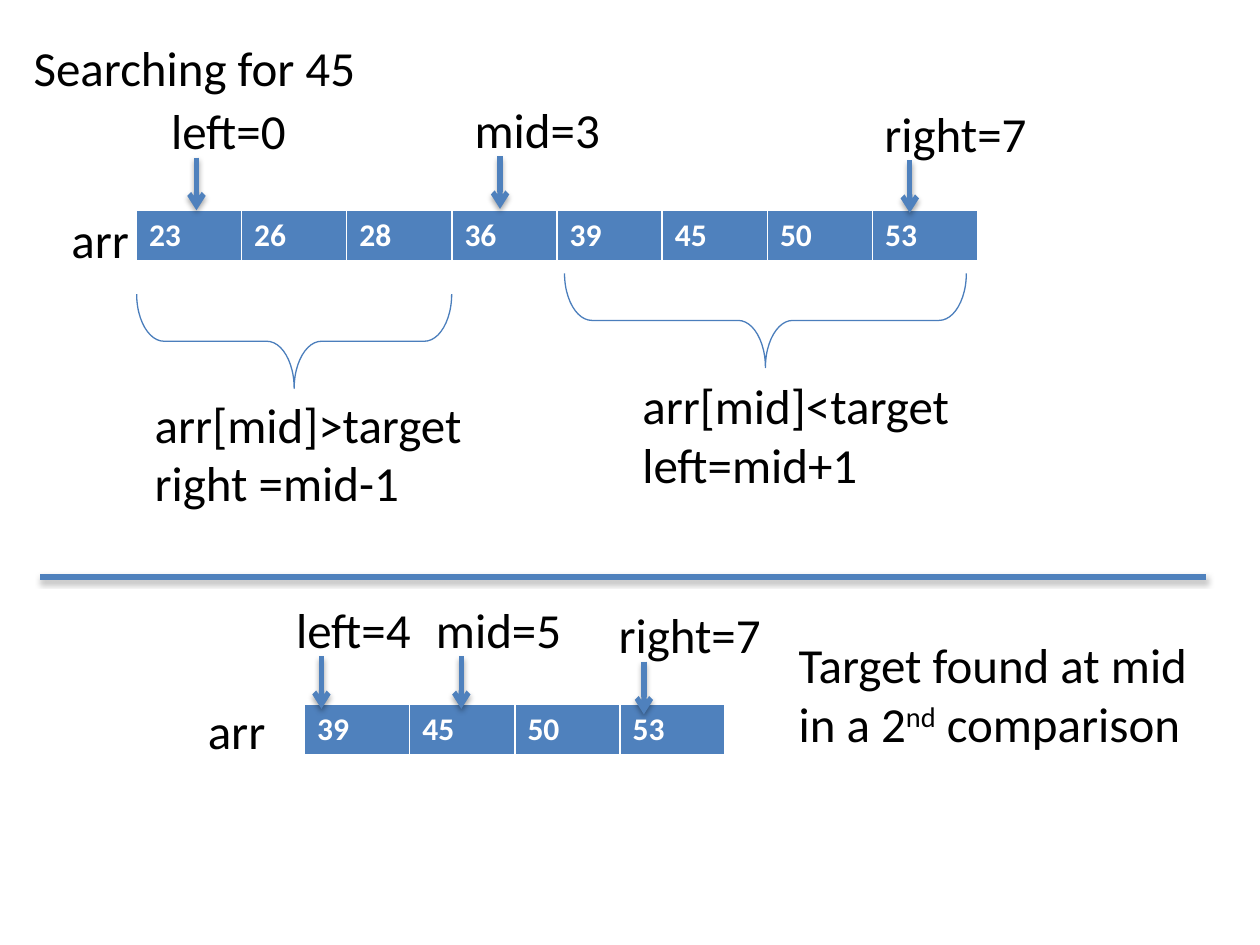
from dataclasses import dataclass

from lxml.etree import SubElement
from pptx import Presentation
from pptx.dml.color import RGBColor
from pptx.enum.shapes import MSO_CONNECTOR, MSO_SHAPE
from pptx.enum.text import MSO_AUTO_SIZE
from pptx.oxml import parse_xml
from pptx.oxml.ns import nsdecls, qn
from pptx.slide import Slide
from pptx.util import Cm, Pt


@dataclass(frozen=True)
class Theme:
    font: str = "Calibri"
    ink: str = "000000"
    blue: str = "4F81BD"
    brace: str = "4B7EBC"
    white: str = "FFFFFF"
    body: int = 28
    cell: int = 18
    rule: int = 3
    thin: float = 0.75


@dataclass(frozen=True)
class Run:
    text: str
    base: int = 0


# All lengths below are in centimetres
@dataclass(frozen=True)
class Label:
    left: float
    top: float
    width: float
    lines: list[list[Run]]
    wrap: bool = False


@dataclass(frozen=True)
class Mark:
    text: str
    left: float
    top: float
    width: float


@dataclass(frozen=True)
class Array:
    left: float
    top: float
    items: list[int]


@dataclass(frozen=True)
class Brace:
    mid: float
    top: float
    span: float


LOOK = Theme()
CELL_W, CELL_H = 2.12, 1.04
LINE_H, PAD_H = 1.19, 0.25
STEM = 1.06
DEPTH = 1.9


def tint(name: str) -> RGBColor:
    return RGBColor.from_string(name)


def add_run(para, run: Run, size: int, color: str, bold: bool = False) -> None:
    part = para.add_run()
    part.text = run.text
    font = part.font
    font.name, font.size, font.bold = LOOK.font, Pt(size), bold
    font.color.rgb = tint(color)
    if run.base:
        part._r.get_or_add_rPr().set("baseline", str(run.base * 1000))


def add_label(slide: Slide, label: Label) -> None:
    high = PAD_H + LINE_H * len(label.lines)
    if label.wrap:
        high += LINE_H
    box = slide.shapes.add_textbox(
        Cm(label.left), Cm(label.top), Cm(label.width), Cm(high))
    frame = box.text_frame
    frame.word_wrap = label.wrap
    frame.auto_size = MSO_AUTO_SIZE.SHAPE_TO_FIT_TEXT
    for i, runs in enumerate(label.lines):
        para = frame.add_paragraph() if i else frame.paragraphs[0]
        for run in runs:
            add_run(para, run, LOOK.body, LOOK.ink)


def add_line(slide: Slide, start: tuple[float, float],
             end: tuple[float, float], arrow: bool = False) -> None:
    line = slide.shapes.add_connector(
        MSO_CONNECTOR.STRAIGHT, *map(Cm, start + end))
    line.line.color.rgb = tint(LOOK.blue)
    line.line.width = Pt(LOOK.rule)
    if arrow:
        SubElement(line.line._get_or_add_ln(), qn("a:tailEnd"), type="arrow")
    # Soft shadow straight below the line
    line._element.spPr.append(parse_xml(
        f'<a:effectLst {nsdecls("a")}>'
        '<a:outerShdw blurRad="40000" dist="23000" dir="5400000" rotWithShape="0">'
        f'<a:srgbClr val="{LOOK.ink}"><a:alpha val="35000"/></a:srgbClr>'
        '</a:outerShdw></a:effectLst>'))


def add_mark(slide: Slide, mark: Mark) -> None:
    x, y = mark.left + 0.76, mark.top + 1.27
    add_line(slide, (x, y), (x, y + STEM), arrow=True)
    add_label(slide, Label(mark.left, mark.top, mark.width, [[Run(mark.text)]]))


def add_array(slide: Slide, array: Array) -> None:
    count = len(array.items)
    table = slide.shapes.add_table(
        1, count, Cm(array.left), Cm(array.top),
        Cm(CELL_W * count), Cm(CELL_H)).table
    for col, item in enumerate(array.items):
        table.columns[col].width = Cm(CELL_W)
        cell = table.cell(0, col)
        props = cell._tc.get_or_add_tcPr()
        for side, width in (("L", 1), ("R", 1), ("T", 1), ("B", 3)):
            edge = SubElement(props, qn(f"a:ln{side}"), w=str(Pt(width)))
            fill = SubElement(edge, qn("a:solidFill"))
            SubElement(fill, qn("a:srgbClr"), val=LOOK.white)
        cell.fill.solid()
        cell.fill.fore_color.rgb = tint(LOOK.blue)
        add_run(cell.text_frame.paragraphs[0], Run(str(item)),
                LOOK.cell, LOOK.white, bold=True)


def add_brace(slide: Slide, brace: Brace) -> None:
    # Turned a quarter, so the frame is tall and its centre stays put
    shape = slide.shapes.add_shape(
        MSO_SHAPE.RIGHT_BRACE, Cm(brace.mid - DEPTH / 2),
        Cm(brace.top + DEPTH / 2 - brace.span / 2), Cm(DEPTH), Cm(brace.span))
    shape.rotation = 90
    shape.adjustments[0], shape.adjustments[1] = 0.29, 0.5
    shape.shadow.inherit = False
    shape.fill.background()
    shape.line.color.rgb = tint(LOOK.brace)
    shape.line.width = Pt(LOOK.thin)


ARRAYS = [
    Array(2.75, 4.24, [23, 26, 28, 36, 39, 45, 50, 53]),
    Array(6.14, 14.2, [39, 45, 50, 53]),
]
MARKS = [
    Mark("left=0", 3.2, 1.91, 2.87),
    Mark("right=7", 17.58, 1.96, 3.63),
    Mark("mid=3", 9.32, 1.88, 3.07),
    Mark("left=4", 5.72, 11.96, 2.87),
    Mark("right=7", 12.22, 12.07, 3.63),
    Mark("mid=5", 8.54, 11.96, 3.07),
]
BRACES = [Brace(15.43, 5.51, 8.1), Brace(5.93, 5.93, 6.35)]
LABELS = [
    Label(0.43, 0.64, 7.06, [[Run("Searching for 45")]]),
    Label(1.19, 4.09, 1.68, [[Run("arr")]]),
    Label(12.7, 7.44, 6.76, [[Run("arr[mid]<target")], [Run("left=mid+1")]]),
    Label(2.87, 7.82, 6.76, [[Run("arr[mid]>target")], [Run("right =mid-1")]]),
    Label(3.94, 14, 1.68, [[Run("arr")]]),
    Label(15.85, 12.67, 9.12,
          [[Run("Target found at mid in a 2"), Run("nd", 30),
            Run(" comparison")]], wrap=True),
]


def main() -> None:
    deck = Presentation()
    deck.slide_width, deck.slide_height = Cm(25.4), Cm(19.05)
    slide = deck.slides.add_slide(deck.slide_layouts[6])

    # Arrays, then the pointers above them
    for array in ARRAYS:
        add_array(slide, array)
    for mark in MARKS:
        add_mark(slide, mark)

    # Braces and notes
    for brace in BRACES:
        add_brace(slide, brace)
    for label in LABELS:
        add_label(slide, label)

    # Rule between the two steps
    add_line(slide, (0.81, 11.63), (24.31, 11.63))
    deck.save("out.pptx")


if __name__ == "__main__":
    main()
